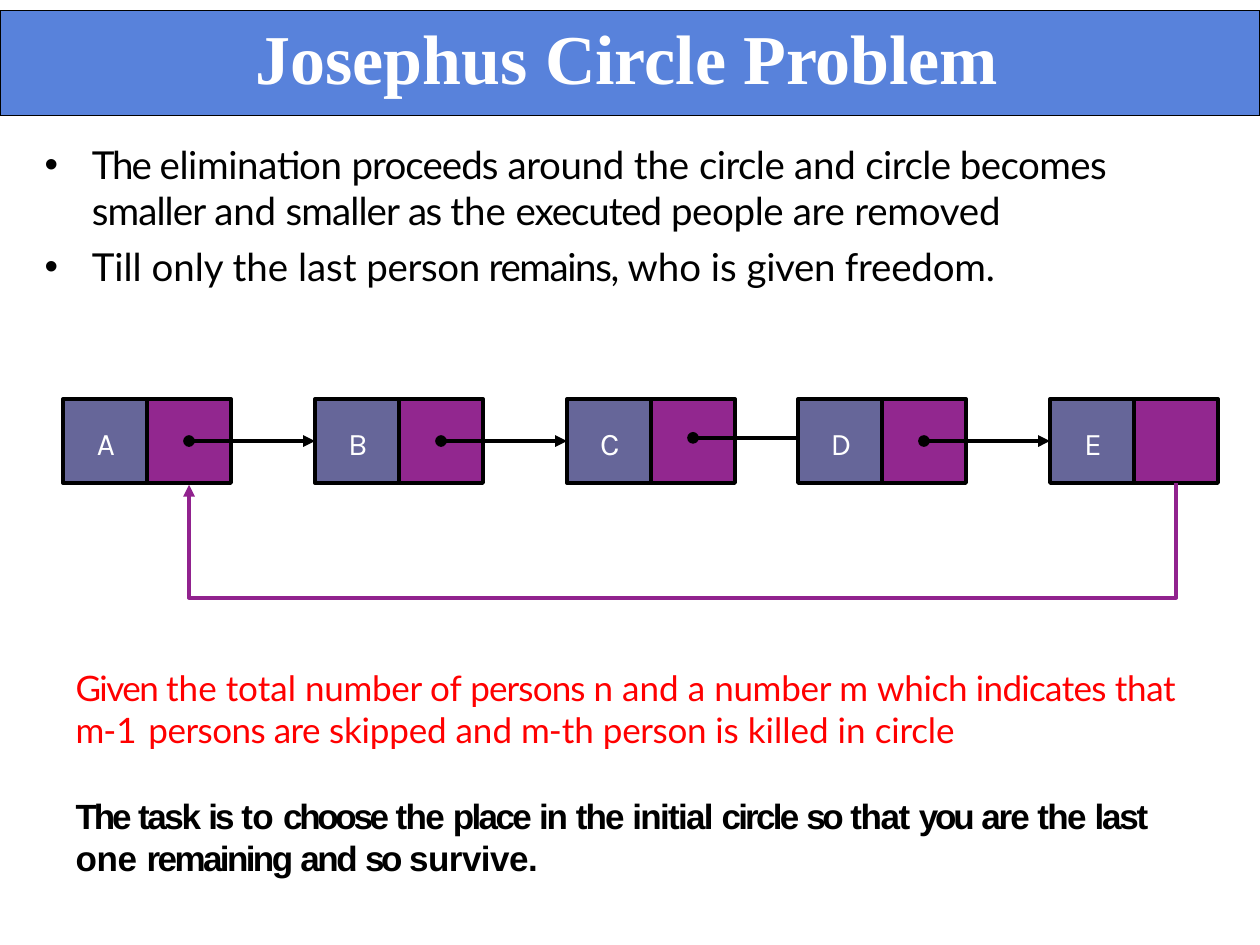
from collections import namedtuple
from itertools import accumulate

from lxml.etree import SubElement
from pptx import Presentation
from pptx.dml.color import RGBColor
from pptx.enum.shapes import MSO_CONNECTOR as Connector, MSO_SHAPE as Shape
from pptx.enum.text import MSO_ANCHOR as Anchor, MSO_AUTO_SIZE as AutoSize, PP_ALIGN as Align
from pptx.oxml.ns import qn
from pptx.util import Pt

BLACK = RGBColor(0x00, 0x00, 0x00)
WHITE = RGBColor(0xFF, 0xFF, 0xFF)
RED = RGBColor(0xFF, 0x00, 0x00)
BANNER_BLUE = RGBColor(0x58, 0x82, 0xDB)
DATA_BLUE = RGBColor(0x66, 0x66, 0x99)
LINK_PURPLE = RGBColor(0x92, 0x27, 0x8F)
RETURN_PURPLE = RGBColor(0x91, 0x22, 0x8E)

Box = namedtuple("Box", "left top width height")
Style = namedtuple("Style", "font size color bold")

TITLE_STYLE = Style("Times New Roman", 40, WHITE, True)
LIST_STYLE = Style("Lato", 22, BLACK, False)
GIVEN_STYLE = Style("Lato", 20, RED, False)
TASK_STYLE = Style("Arial", 20, BLACK, True)
LABEL_STYLE = Style("Karla", 18, WHITE, False)

CELL = 48
LINE_WIDTH = 2.25
NODE_STEPS = [0, 144, 144, 132, 144]
PLAIN_LINK = "C"
PLAIN_LINK_RISE = 1.8

TITLE = [("Josephus Circle ", 0), ("Problem", -0.1)]

BULLETS = [
    [("The ", -1.2), ("elimination ", -0.2), ("proceeds ", -0.5), ("around ", -0.2),
     ("the ", 0), ("circle ", -0.3), ("and ", -0.1), ("circle becomes ", -0.3),
     ("smaller ", -0.5), ("and ", -0.1), ("smaller ", -0.5), ("as ", -1), ("the ", 0),
     ("executed ", -0.6), ("people are ", -0.2), ("removed", -0.1)],
    [("Till only the last ", 0), ("person", -0.2), (" remains, ", -0.8), ("who is ", 0),
     ("given ", -0.2), ("freedom.", -0.1)],
]

GIVEN = [
    ("Given ", -0.9), ("the total ", 0), ("number ", -0.2), ("of ", 0), ("persons ", -0.5),
    ("n and a ", 0), ("number ", -0.2), ("m ", 0), ("which", -0.2), (" indicates ", -0.4),
    ("that ", -0.2), ("m-", -0.6), ("1 ", 0.8), ("persons are ", -0.3), ("skipped ", -0.1),
    ("and ", 0), ("m-", -0.7), ("th ", 0), ("person ", -0.2), ("is killed in ", 0),
    ("circle", -0.1),
]

TASK = [
    ("The ", -1.8), ("task ", -1.4), ("is ", -1.7), ("to ", -0.3), ("choose ", -1.9),
    ("the ", -1), ("place ", -1.5), ("in ", -1.2), ("the ", -1.1), ("initial ", -1),
    ("circle ", -1.6), ("so ", -1.9), ("that ", -0.8), ("you ", -1.8), ("are ", -1.2),
    ("the ", -1), ("last ", -1.3), ("one ", -0.2), ("remaining ", -1.5), ("and ", -1.4),
    ("so ", -1.9), ("survive.", -0.3),
]


def place(shape, box):
    shape.left, shape.top = Pt(box.left), Pt(box.top)
    shape.width, shape.height = Pt(box.width), Pt(box.height)


def prepare_frame(shape, inset_top=0.7):
    frame = shape.text_frame
    frame.word_wrap = True
    frame.auto_size = AutoSize.NONE
    frame.vertical_anchor = Anchor.TOP
    frame.margin_left = frame.margin_right = frame.margin_bottom = 0
    frame.margin_top = Pt(inset_top)
    return frame


def write_para(para, spans, style, space_before=0, align=Align.LEFT, margin=0, indent=0):
    para.alignment = align
    para.space_before = Pt(space_before)
    properties = para._p.get_or_add_pPr()
    properties.set("marL", str(Pt(margin)))
    properties.set("indent", str(Pt(indent)))
    for text, spacing in spans:
        span = para.add_run()
        span.text = text
        font = span.font
        font.name, font.size, font.bold = style.font, Pt(style.size), style.bold
        font.color.rgb = style.color
        if spacing:
            span._r.get_or_add_rPr().set("spc", str(round(spacing * 100)))


def add_rectangle(page, box, fill, line_width):
    rectangle = page.shapes.add_shape(Shape.RECTANGLE, *map(Pt, box))
    rectangle.shadow.inherit = False
    rectangle.fill.solid()
    rectangle.fill.fore_color.rgb = fill
    rectangle.line.color.rgb = BLACK
    rectangle.line.width = Pt(line_width)
    return rectangle


def style_line(shape, color, head=None, tail=None):
    shape.line.color.rgb = color
    shape.line.width = Pt(LINE_WIDTH)
    outline = shape.line._get_or_add_ln()
    for tag, kind in (("a:headEnd", head), ("a:tailEnd", tail)):
        if kind:
            SubElement(outline, qn(tag), type=kind)


def add_banner(page, box):
    title = page.shapes.title
    bar = add_rectangle(page, box, BANNER_BLUE, 0.75)
    title._element.addprevious(bar._element)
    place(title, Box(box.left + 38, box.top + 1.5, box.width - 77, box.height - 5))
    write_para(prepare_frame(title).paragraphs[0], TITLE, TITLE_STYLE, margin=108)


def add_bullets(page, box):
    body = page.placeholders[1]
    place(body, box)
    frame = prepare_frame(body)
    for index, spans in enumerate(BULLETS):
        para = frame.add_paragraph() if index else frame.paragraphs[0]
        write_para(para, spans, LIST_STYLE, 5.3 * index, margin=28, indent=-27)


def add_node(page, name, left, top):
    add_rectangle(page, Box(left + CELL, top, CELL, CELL), LINK_PURPLE, LINE_WIDTH)
    data = add_rectangle(page, Box(left, top, CELL, CELL), DATA_BLUE, LINE_WIDTH)
    para = prepare_frame(data, 14.4).paragraphs[0]
    write_para(para, [(name, 0)], LABEL_STYLE, align=Align.CENTER, margin=1)
    return data


def add_link(page, start, end_left, y, target=None):
    link = page.shapes.add_connector(
        Connector.STRAIGHT, Pt(start), Pt(y), Pt(end_left), Pt(y))
    if target is not None:
        link.end_connect(target, 1)
    style_line(link, BLACK, "oval", "triangle" if target is not None else None)
    SubElement(link._element.spPr, qn("a:effectLst"))


def add_return_path(page, start, end, top, bottom):
    builder = page.shapes.build_freeform(Pt(start), Pt(top))
    corners = [(start, bottom), (end, bottom), (end, top + 1)]
    builder.add_line_segments([(Pt(x), Pt(y)) for x, y in corners], close=False)
    path = builder.convert_to_shape()
    path.shadow.inherit = False
    path.fill.background()
    style_line(path, RETURN_PURPLE, tail="triangle")


def add_circle(page, box):
    lefts = [box.left + offset for offset in accumulate(NODE_STEPS)]
    names = "ABCDE"
    nodes = [add_node(page, name, left, box.top) for name, left in zip(names, lefts)]
    link_centers = [left + 1.5 * CELL for left in lefts]
    middle = box.top + CELL / 2
    for name, start, end, target in zip(names, link_centers, lefts[1:], nodes[1:]):
        if name == PLAIN_LINK:
            add_link(page, start, end, middle - PLAIN_LINK_RISE)
        else:
            add_link(page, start, end, middle, target)
    add_return_path(page, link_centers[-1], link_centers[0],
                    box.top + CELL, box.top + box.height)


def add_task(page, box):
    frame = prepare_frame(page.shapes.add_textbox(*map(Pt, box)))
    write_para(frame.paragraphs[0], GIVEN, GIVEN_STYLE)
    write_para(frame.add_paragraph(), TASK, TASK_STYLE, space_before=25)


def main():
    deck = Presentation()
    deck.slide_width, deck.slide_height = Pt(720), Pt(540)
    page = deck.slides.add_slide(deck.slide_layouts[1])
    add_banner(page, Box(0, 6, 720, 60))
    add_bullets(page, Box(24.5, 80, 613.5, 86))
    add_circle(page, Box(36, 228, 660, 113.5))
    add_task(page, Box(43.2, 380, 645, 122))
    deck.save("out.pptx")


if __name__ == "__main__":
    main()
